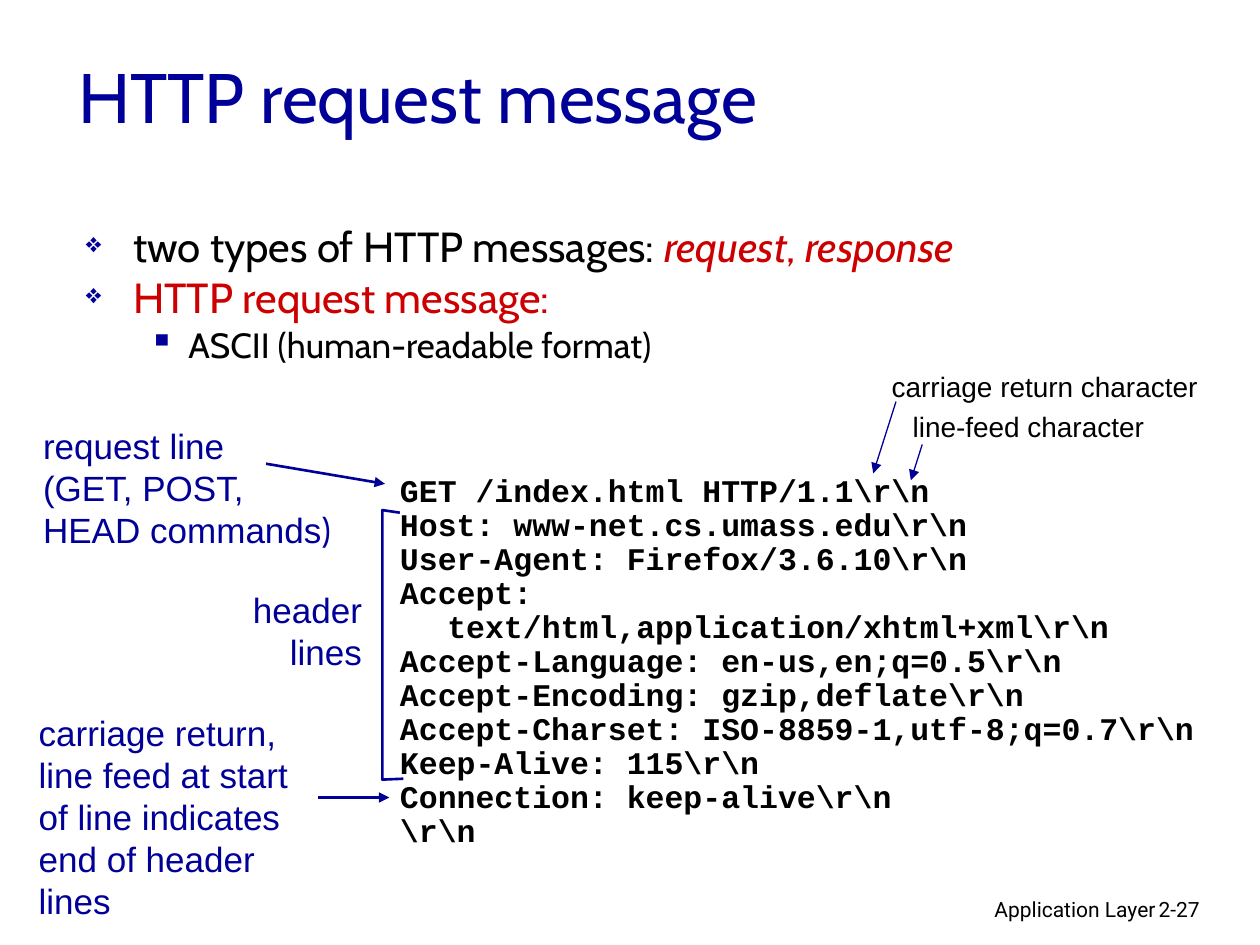
from lxml.etree import SubElement
from pptx import Presentation
from pptx.dml.color import RGBColor
from pptx.enum.shapes import MSO_CONNECTOR as CONN
from pptx.enum.text import MSO_ANCHOR as ANCHOR, PP_ALIGN as ALIGN
from pptx.oxml.ns import qn
from pptx.util import Pt

COLORS = {"navy": "000099", "red": "CC0000", "black": "000000"}

# Content: a paragraph is a list of (text, run format) pairs or plain text
TITLE = "HTTP request message"
RED, RED_ITALIC = {"color": "red"}, {"color": "red", "italic": True}
BULLETS = [
    (0, [("two types of HTTP messages: ", {}), ("request", RED_ITALIC),
         (", ", RED), ("response", RED_ITALIC)]),
    (0, [("HTTP request message:", RED)]),
    (1, [("ASCII (human-readable format)", {"size": 20})]),
]
# Per level: bullet sign, its size in percent, left margin, hanging indent
LEVELS = [("❖", 65, 27, 27), ("▪", 100, 58.5, 22.5)]

REQUEST = [
    r"GET /index.html HTTP/1.1\r\n",
    r"Host: www-net.cs.umass.edu\r\n",
    r"User-Agent: Firefox/3.6.10\r\n",
    r"Accept: text/html,application/xhtml+xml\r\n",
    r"Accept-Language: en-us,en;q=0.5\r\n",
    r"Accept-Encoding: gzip,deflate\r\n",
    r"Accept-Charset: ISO-8859-1,utf-8;q=0.7\r\n",
    r"Keep-Alive: 115\r\n",
    r"Connection: keep-alive\r\n",
    r"\r\n",
]

NOTE = {"size": 20, "color": "navy"}
SMALL = {"size": 16}
FOOT = {"size": 12, "font": "Roboto"}
# Labels: box (left, top, width, height), paragraphs, format
LABELS = [
    ((17.5, 239, 187, 79), ["request line", "(GET, POST,",
     [("HEAD commands", {}), (")", {"font": "Cabin"})]], NOTE),
    ((137, 332.5, 77, 55), ["header", "lines"], {**NOTE, "align": ALIGN.RIGHT}),
    ((15, 403, 173, 127), ["carriage return,", "line feed at start",
     "of line indicates", "end of header lines"], NOTE),
    ((502.5, 207.5, 200, 27), ["carriage return character"], SMALL),
    ((514.5, 230.5, 160, 27), ["line-feed character"], SMALL),
    ((439, 509, 228.5, 22), ["Application Layer"], {**FOOT, "align": ALIGN.RIGHT}),
    ((655, 509, 53, 22), ["2-27"], FOOT),
]
# Arrows: start, end, line width
ARROWS = [
    ((152, 265), (220, 276.5), 1.5),
    ((182, 455.75), (222.5, 455.75), 1.5),
    ((512, 229.5), (499, 270.5), 0.75),
    ((527, 254), (520.5, 274.5), 0.75),
]
BRACKET = [(228.5, 293), (218.5, 291.5), (218.5, 445.5), (230.5, 445)]


def rgb(name):
    return RGBColor.from_string(COLORS[name])


def write(tf, paragraphs, font="Arial", size=18, color="black", bold=False,
          align=ALIGN.LEFT, spacing=None):
    tf.word_wrap = True
    for i, runs in enumerate(paragraphs):
        p = tf.paragraphs[0] if i == 0 else tf.add_paragraph()
        p.alignment = align
        if spacing:
            p.line_spacing = spacing
        for text, extra in [(runs, {})] if isinstance(runs, str) else runs:
            r = p.add_run()
            r.text = text
            r.font.name = extra.get("font", font)
            r.font.size = Pt(extra.get("size", size))
            r.font.color.rgb = rgb(extra.get("color", color))
            r.font.bold = bold
            r.font.italic = extra.get("italic", False)


def add_text(s, box, paragraphs, **fmt):
    tf = s.shapes.add_textbox(*map(Pt, box)).text_frame
    write(tf, paragraphs, **fmt)
    return tf


def set_indent(p, left, hanging):
    pPr = p._p.get_or_add_pPr()
    pPr.set("marL", str(Pt(left)))
    pPr.set("indent", str(-Pt(hanging)))
    return pPr


def add_bullet(p, level):
    sign, percent, left, hanging = LEVELS[level]
    p.level = level
    pPr = set_indent(p, left, hanging)
    clr = SubElement(pPr, qn("a:buClr"))
    SubElement(clr, qn("a:srgbClr")).set("val", COLORS["navy"])
    SubElement(pPr, qn("a:buSzPct")).set("val", str(percent * 1000))
    SubElement(pPr, qn("a:buChar")).set("char", sign)


def add_arrow(s, start, end, width):
    c = s.shapes.add_connector(CONN.STRAIGHT, *map(Pt, start + end))
    c.line.color.rgb = rgb("navy")
    c.line.width = Pt(width)
    SubElement(c.line._get_or_add_ln(), qn("a:tailEnd")).set("type", "triangle")
    SubElement(c._element.spPr, qn("a:effectLst"))


def main():
    prs = Presentation()
    prs.slide_width, prs.slide_height = Pt(720), Pt(540)
    s = prs.slides.add_slide(prs.slide_layouts[5])

    # Title
    title = s.shapes.title
    title.left, title.top, title.width, title.height = map(Pt, (37.5, 18.5, 612, 72))
    title.text_frame.vertical_anchor = ANCHOR.MIDDLE
    write(title.text_frame, [TITLE], font="Cabin", size=40, color="navy")

    # Bullet list
    tf = add_text(s, (42, 127, 612, 90), [runs for _, runs in BULLETS],
                  font="Cabin", size=24, spacing=0.85)
    for i, (p, (level, _)) in enumerate(zip(tf.paragraphs, BULLETS)):
        add_bullet(p, level)
        if i:
            p.space_before = Pt(4.8 if level == 0 else 4)

    # Request message, wrapped lines indented
    tf = add_text(s, (221.5, 268, 476.5, 202), REQUEST, font="Courier New",
                  bold=True, spacing=0.9)
    for p in tf.paragraphs:
        set_indent(p, 27, 27)

    # Labels and footer
    for box, paragraphs, fmt in LABELS:
        add_text(s, box, paragraphs, **fmt)

    # Arrows and the bracket around the header lines
    for arrow in ARROWS:
        add_arrow(s, *arrow)
    points = [tuple(map(Pt, point)) for point in BRACKET]
    builder = s.shapes.build_freeform(*points[0])
    builder.add_line_segments(points[1:], close=False)
    sp = builder.convert_to_shape()
    sp.shadow.inherit = False
    sp.fill.background()
    sp.line.color.rgb = rgb("navy")
    sp.line.width = Pt(1.5)

    prs.save("out.pptx")


if __name__ == "__main__":
    main()
